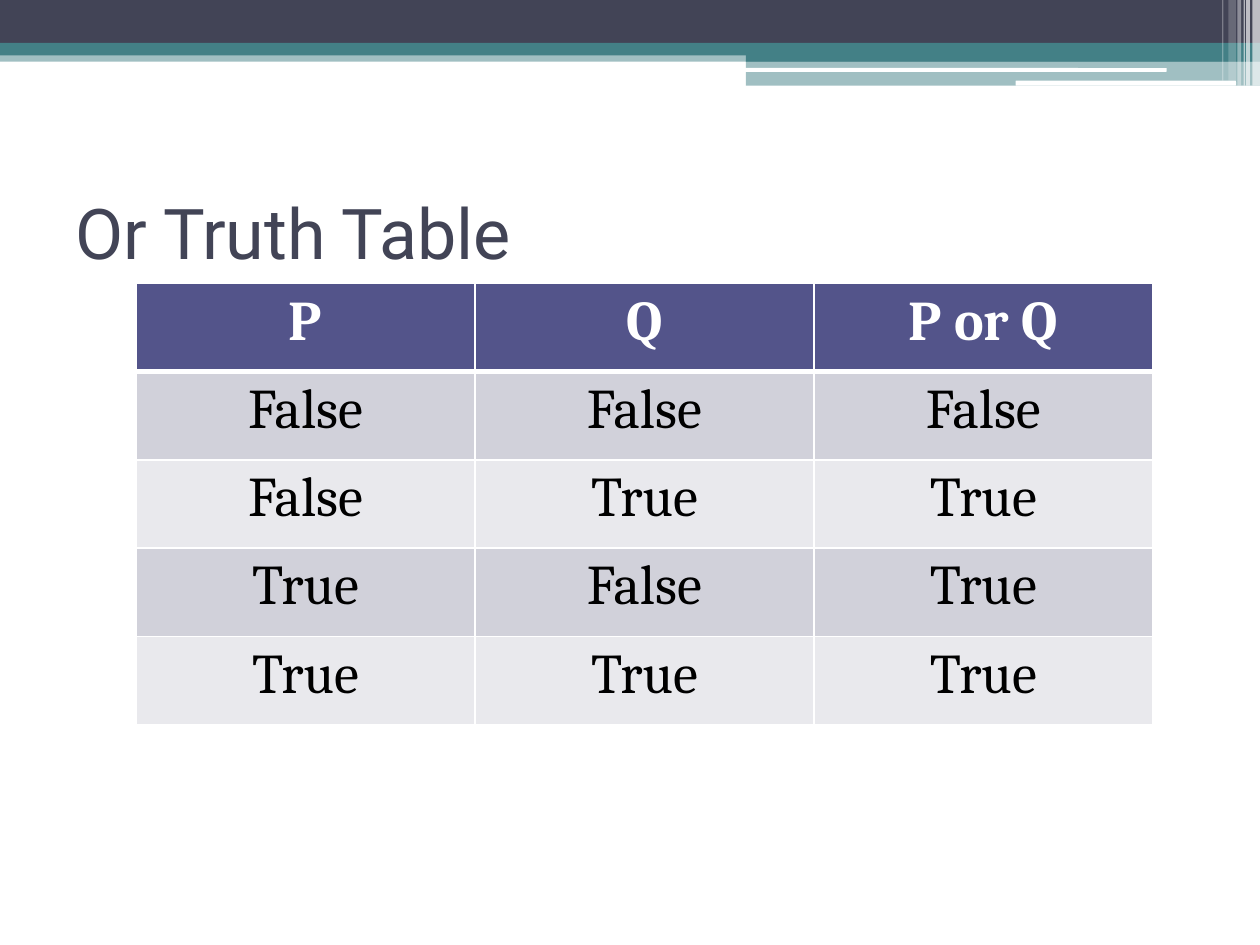
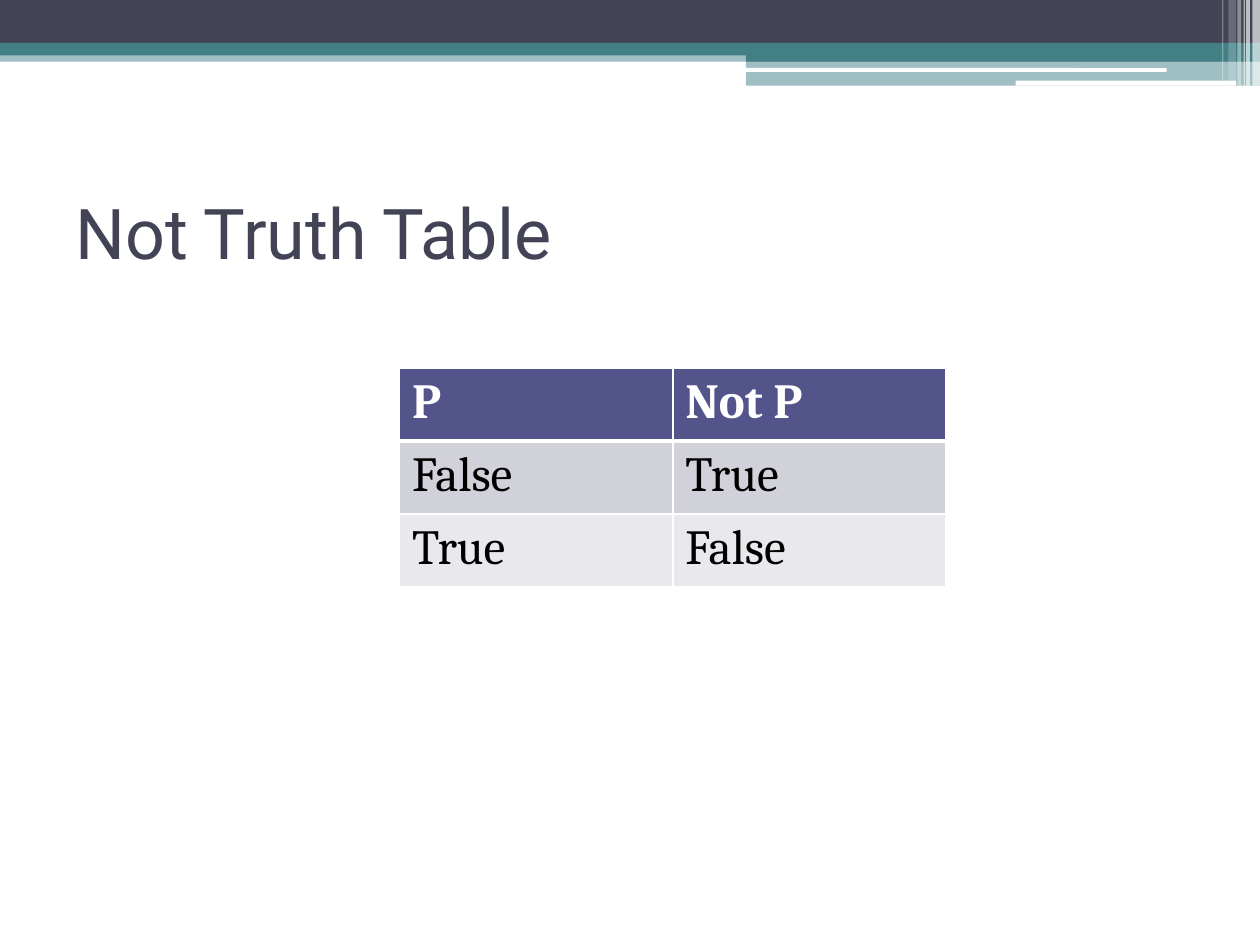
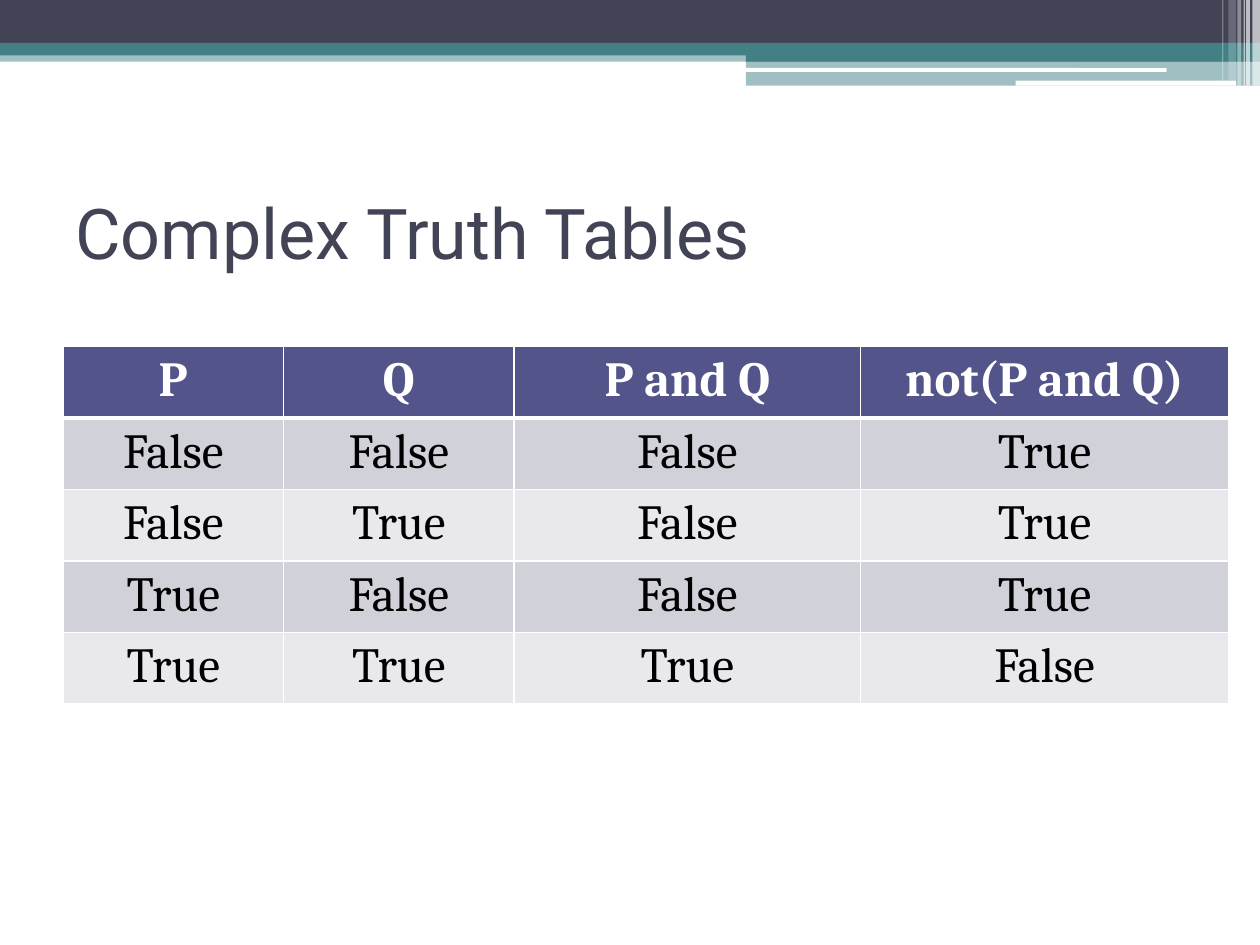
"""Build three truth table slides with a shared banded header."""
from dataclasses import dataclass
from itertools import product
from typing import Callable, NamedTuple

from lxml.etree import SubElement
from pptx import Presentation
from pptx.dml.color import RGBColor
from pptx.enum.shapes import MSO_SHAPE
from pptx.enum.text import MSO_ANCHOR, PP_ALIGN
from pptx.oxml.ns import qn
from pptx.slide import Slide
from pptx.table import _Cell
from pptx.util import Inches, Pt

COLORS = {
    "white": "FFFFFF",
    "black": "000000",
    "slate": "424456",
    "teal": "438086",
    "header": "53548A",
    "odd_row": "D1D1DA",
    "even_row": "E9E9ED",
}
TITLE_FONT = "Roboto"
TABLE_FONT = "Cambria"
THIN_BORDER, THICK_BORDER = Pt(1), Pt(3)


class Band(NamedTuple):
    left: float
    top: float
    width: float
    height: float
    color: str
    opacity: int = 100
    preset: MSO_SHAPE = MSO_SHAPE.RECTANGLE


@dataclass
class TruthTable:
    title: str
    left: float
    top: float
    column_widths: list[float]
    row_height: float
    font_size: int
    inputs: list[str]
    result_columns: dict[str, Callable[..., bool]]
    alignment: PP_ALIGN = PP_ALIGN.CENTER

    def rows(self) -> list[list[str]]:
        header = [*self.inputs, *self.result_columns]
        body = [
            [str(value) for value in (*case, *(rule(*case) for rule in self.result_columns.values()))]
            for case in product((False, True), repeat=len(self.inputs))
        ]
        return [header, *body]


BANDS = [
    Band(0, 0.4, 10, 0.09, "teal", 50),
    Band(0, 0, 10, 0.34, "slate"),
    Band(0, 0.34, 10, 0.1, "teal"),
    Band(5.92, 0.39, 4.08, 0.1, "teal"),
    Band(5.92, 0.48, 4.08, 0.2, "teal", 50),
    Band(5.91, 0.54, 3.35, 0.03, "white", preset=MSO_SHAPE.ROUNDED_RECTANGLE),
    Band(8.06, 0.64, 1.75, 0.04, "white", preset=MSO_SHAPE.ROUNDED_RECTANGLE),
    Band(9.94, 0, 0.06, 0.68, "white", 65),
    Band(9.89, 0, 0.03, 0.68, "white", 65),
    Band(9.87, 0, 0.01, 0.68, "white", 60),
    Band(9.82, 0, 0.03, 0.68, "white", 40),
    Band(9.75, 0, 0.06, 0.64, "white", 20),
    Band(9.7, 0, 0.01, 0.64, "white", 30),
]

TRUTH_TABLES = [
    TruthTable(
        "Or Truth Table", 1.08, 2.25, [2.69] * 3, 0.7, 32,
        ["P", "Q"], {"P or Q": lambda p, q: p or q},
    ),
    TruthTable(
        "Not Truth Table", 3.17, 2.92, [2.17] * 2, 0.58, 28,
        ["P"], {"Not P": lambda p: not p}, PP_ALIGN.LEFT,
    ),
    TruthTable(
        "Complex Truth Tables", 0.5, 2.75, [1.75, 1.83, 2.75, 2.92], 0.55, 28,
        ["P", "Q"],
        {"P and Q": lambda p, q: p and q, "not(P and Q)": lambda p, q: not (p and q)},
    ),
]


def rgb(name: str) -> RGBColor:
    return RGBColor.from_string(COLORS[name])


def add_band(slide: Slide, band: Band) -> None:
    shape = slide.shapes.add_shape(
        band.preset, Inches(band.left), Inches(band.top), Inches(band.width), Inches(band.height)
    )
    shape.shadow.inherit = False
    shape.line.fill.background()
    shape.fill.solid()
    shape.fill.fore_color.rgb = rgb(band.color)
    if band.opacity < 100:
        color = shape.element.spPr.find(qn("a:solidFill"))[0]
        SubElement(color, qn("a:alpha"), val=str(band.opacity * 1000))


def add_title(slide: Slide, title: str) -> None:
    text_box = slide.shapes.add_textbox(Inches(0.5), Inches(1.25), Inches(9), Inches(1.17))
    text_frame = text_box.text_frame
    text_frame.word_wrap = True
    text_frame.vertical_anchor = MSO_ANCHOR.MIDDLE
    paragraph = text_frame.paragraphs[0]
    paragraph.text = title
    paragraph.font.name = TITLE_FONT
    paragraph.font.size = Pt(40)
    paragraph.font.color.rgb = rgb("slate")


def set_borders(cell: _Cell, top: int, bottom: int) -> None:
    properties = cell._tc.get_or_add_tcPr()
    widths = {"a:lnL": THIN_BORDER, "a:lnR": THIN_BORDER, "a:lnT": top, "a:lnB": bottom}
    for position, (side, width) in enumerate(widths.items()):
        border = SubElement(properties, qn(side), w=str(width))
        fill = SubElement(border, qn("a:solidFill"))
        SubElement(fill, qn("a:srgbClr"), val=COLORS["white"])
        properties.insert(position, border)


def style_cell(cell: _Cell, row_index: int, truth_table: TruthTable) -> None:
    is_header = row_index == 0
    body_color = "odd_row" if row_index % 2 else "even_row"
    cell.fill.solid()
    cell.fill.fore_color.rgb = rgb("header" if is_header else body_color)
    set_borders(
        cell,
        top=THICK_BORDER if row_index == 1 else THIN_BORDER,
        bottom=THICK_BORDER if is_header else THIN_BORDER,
    )
    paragraph = cell.text_frame.paragraphs[0]
    paragraph.alignment = truth_table.alignment
    paragraph.font.name = TABLE_FONT
    paragraph.font.size = Pt(truth_table.font_size)
    paragraph.font.bold = is_header
    paragraph.font.color.rgb = rgb("white" if is_header else "black")


def add_truth_table(slide: Slide, truth_table: TruthTable) -> None:
    rows = truth_table.rows()
    table = slide.shapes.add_table(
        len(rows), len(truth_table.column_widths),
        Inches(truth_table.left), Inches(truth_table.top),
        Inches(sum(truth_table.column_widths)), Inches(truth_table.row_height * len(rows)),
    ).table
    for column, width in zip(table.columns, truth_table.column_widths):
        column.width = Inches(width)
    for row_index, values in enumerate(rows):
        for column_index, value in enumerate(values):
            cell = table.cell(row_index, column_index)
            cell.text = value
            style_cell(cell, row_index, truth_table)


def main() -> None:
    presentation = Presentation()
    presentation.slide_width = Inches(10)
    presentation.slide_height = Inches(7.5)
    for truth_table in TRUTH_TABLES:
        slide = presentation.slides.add_slide(presentation.slide_layouts[6])
        for band in BANDS:
            add_band(slide, band)
        add_title(slide, truth_table.title)
        add_truth_table(slide, truth_table)
    presentation.save("out.pptx")


if __name__ == "__main__":
    main()
